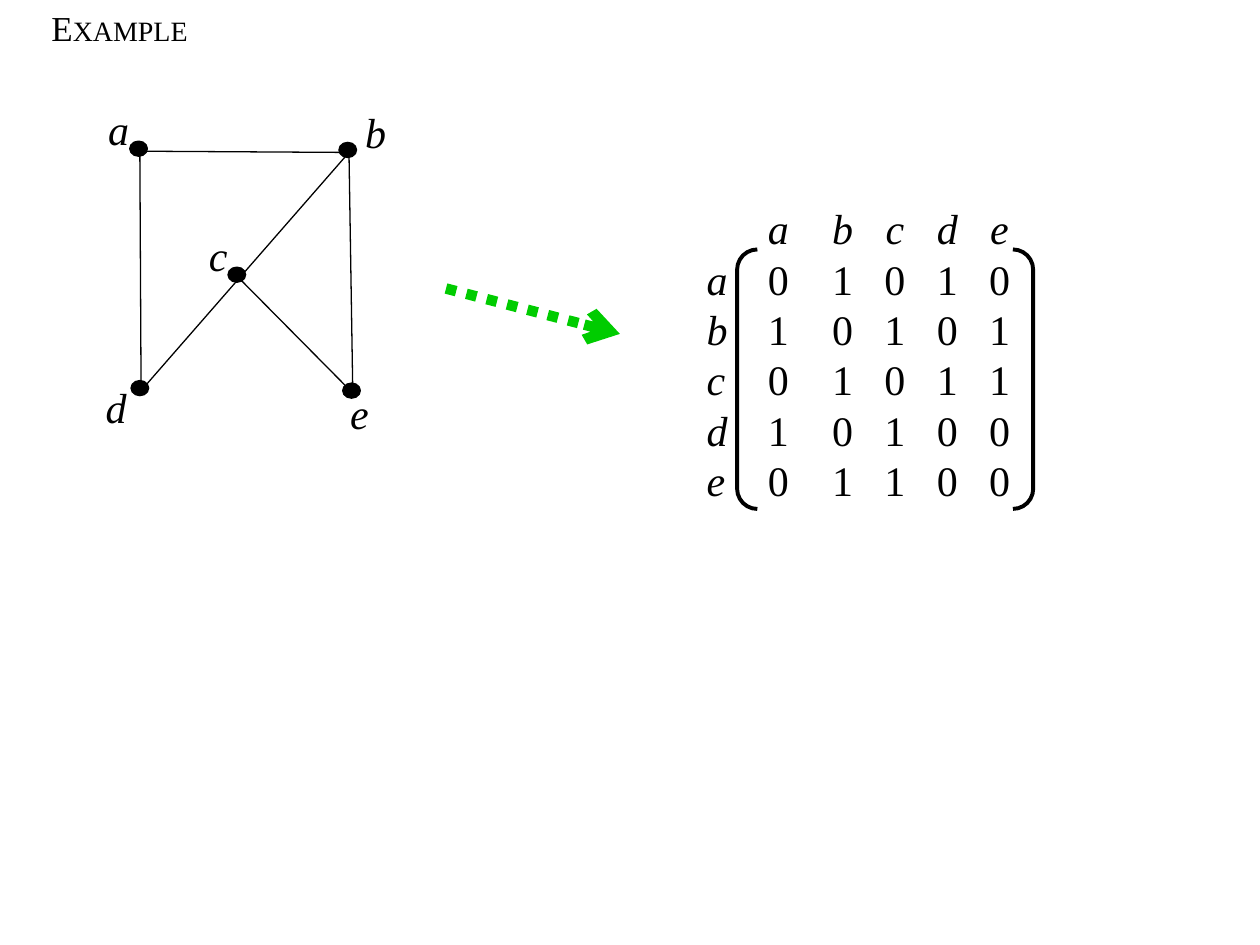
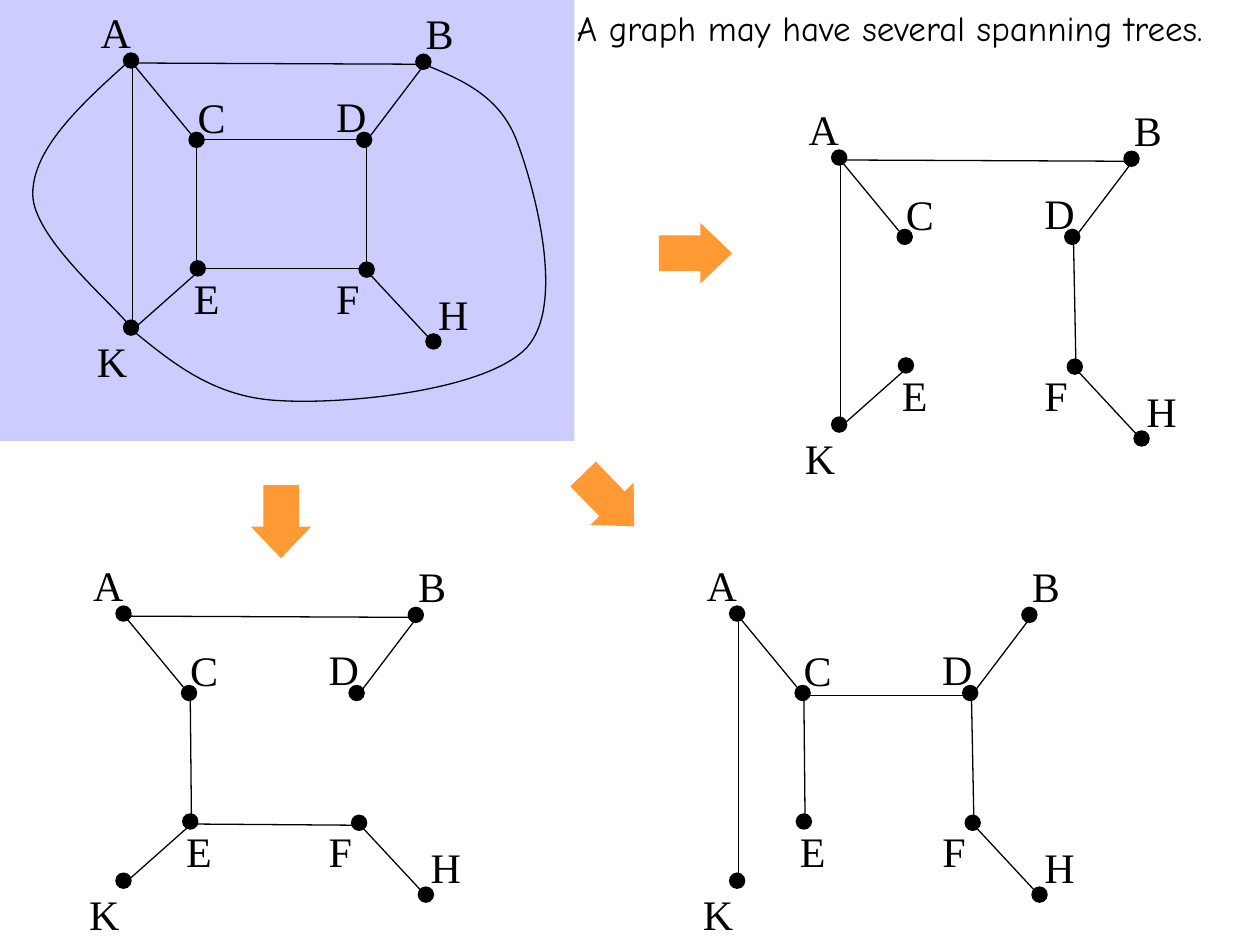
from collections import namedtuple
from dataclasses import dataclass

from lxml import etree
from pptx import Presentation
from pptx.dml.color import RGBColor
from pptx.enum import dml, shapes, text
from pptx.oxml import ns
from pptx.util import Inches, Pt


@dataclass(frozen=True)
class Theme:
    ink: RGBColor = RGBColor(0x00, 0x00, 0x00)
    panel: RGBColor = RGBColor(0xCC, 0xCC, 0xFF)
    orange: RGBColor = RGBColor(0xFF, 0x99, 0x33)
    green: RGBColor = RGBColor(0x00, 0xCC, 0x00)
    serif: str = "Times New Roman"
    comic: str = "Comic Neue"
    body: int = 24
    title: int = 20
    small_caps: int = 16
    thin: float = 0.75
    bracket: float = 2.25
    dotted: float = 6


THEME = Theme()
SHAPE = shapes.MSO_SHAPE
Node = namedtuple("Node", "dot label width")  # dot and label: left, top

# Simple graph and its adjacency matrix
SMALL_DOT = (0.14, 0.12)
SMALL_NODES = {
    "a": Node((1.03, 1.12), (0.76, 0.77), 0.37),
    "b": Node((2.69, 1.13), (2.8, 0.8), 0.37),
    "c": Node((1.81, 2.12), (1.56, 1.77), 0.35),
    "d": Node((1.04, 3.02), (0.74, 2.98), 0.37),
    "e": Node((2.72, 3.04), (2.68, 3.03), 0.35),
}
SMALL_EDGES = "ab ad bd be ce"
MATRIX = {"a": "01010", "b": "10101", "c": "01011", "d": "10100", "e": "01100"}
MATRIX_TABS = [0.57] + [1.08 + 0.415 * i for i in range(4)]

# Larger graph and its spanning trees
BIG_DOT = (0.12, 0.12)
BIG_NODES = {
    "A": Node((0.98, 0.42), (0.7, 0), 0.44),
    "B": Node((3.3, 0.43), (3.28, 0.01), 0.42),
    "C": Node((1.5, 1.05), (1.47, 0.68), 0.42),
    "D": Node((2.83, 1.05), (2.57, 0.67), 0.44),
    "E": Node((1.51, 2.07), (1.44, 2.11), 0.4),
    "F": Node((2.85, 2.08), (2.57, 2.11), 0.39),
    "H": Node((3.38, 2.65), (3.38, 2.24), 0.44),
    "K": Node((0.98, 2.54), (0.67, 2.61), 0.44),
}
BIG_EDGES = "AB AC AK BD EK FH"
SPANNING_TREES = [
    ((5.62, 0.77), "AB AC AK BD DF EK FH"),
    ((4.81, 4.39), "AC AK BD CD CE DF FH"),
    ((-0.06, 4.39), "AB AC BD CE EF EK FH"),
]
OUTER_CURVES = [
    [(1.03, 0.48), (0.64, 0.83), (0.26, 1.18), (0.26, 1.54),
     (0.26, 1.89), (0.91, 2.42), (1.04, 2.6)],
    [(1.05, 2.62), (1.38, 2.89), (1.71, 3.16), (2.23, 3.18),
     (2.75, 3.21), (3.86, 3.1), (4.18, 2.76), (4.49, 2.42),
     (4.25, 1.52), (4.11, 1.14), (3.98, 0.77), (3.68, 0.64), (3.39, 0.52)],
]
BLOCK_ARROWS = [(5.23, 1.77, 0), (4.54, 3.73, 45.7), (1.94, 3.9, 90)]


def inches(*values):
    return [Inches(v) for v in values]


def add_run(p, content, size=THEME.body, italic=False, font=THEME.serif):
    r = p.add_run()
    r.text = content
    r.font.size = Pt(size)
    r.font.name = font
    r.font.italic = italic
    r.font.color.rgb = THEME.ink


def add_box(slide, left, top, width, height, wrap=False):
    tf = slide.shapes.add_textbox(*inches(left, top, width, height)).text_frame
    tf.word_wrap = wrap
    tf.auto_size = text.MSO_AUTO_SIZE.SHAPE_TO_FIT_TEXT
    return tf


def style_shape(sp, fill=None, line=None, weight=THEME.thin):
    sp.shadow.inherit = False
    for part, color in ((sp.fill, fill), (sp.line.fill, line)):
        if color is None:
            part.background()
        else:
            part.solid()
            part.fore_color.rgb = color
    if line is not None:
        sp.line.width = Pt(weight)


def add_preset(slide, kind, left, top, width, height, **style):
    sp = slide.shapes.add_shape(kind, *inches(left, top, width, height))
    style_shape(sp, **style)
    return sp


def add_line(slide, start, end, color=THEME.ink, weight=THEME.thin):
    line = slide.shapes.add_connector(
        shapes.MSO_CONNECTOR.STRAIGHT, *inches(*start, *end))
    line.line.color.rgb = color
    line.line.width = Pt(weight)
    etree.SubElement(line._element.spPr, ns.qn("a:effectLst"))
    return line


def add_curve(slide, points):
    """Bezier outline: a start point, then three points for each segment."""
    start, *rest = [tuple(inches(*pt)) for pt in points]
    builder = slide.shapes.build_freeform(*start)
    builder.add_line_segments(rest, close=False)
    sp = builder.convert_to_shape()
    style_shape(sp, line=THEME.ink)
    outline = sp._element.find(".//" + ns.qn("a:path"))
    steps = outline.findall(ns.qn("a:lnTo"))
    for i in range(0, len(steps), 3):
        bezier = etree.SubElement(outline, ns.qn("a:cubicBezTo"))
        for step in steps[i:i + 3]:
            bezier.append(step[0])
            outline.remove(step)


def add_graph(slide, nodes, edges, dot, origin=(0, 0), italic=False):
    ox, oy = origin
    # Edges meet just below the centre of each dot
    ends = {name: (ox + n.dot[0] + dot[0] / 2 + 0.01,
                   oy + n.dot[1] + dot[1] / 2 + 0.02)
            for name, n in nodes.items()}
    for first, second in edges.split():
        add_line(slide, ends[first], ends[second])
    for name, n in nodes.items():
        add_preset(slide, SHAPE.OVAL, ox + n.dot[0], oy + n.dot[1], *dot,
                   fill=THEME.ink, line=THEME.ink)
        tf = add_box(slide, ox + n.label[0], oy + n.label[1], n.width, 0.5)
        add_run(tf.paragraphs[0], name, italic=italic)


def add_matrix(slide, left, top):
    tf = add_box(slide, left, top, 2.8, 2.5, wrap=True)
    rows = [("", MATRIX)] + list(MATRIX.items())
    for i, (name, cells) in enumerate(rows):
        p = tf.paragraphs[0] if i == 0 else tf.add_paragraph()
        tabs = etree.SubElement(p._p.get_or_add_pPr(), ns.qn("a:tabLst"))
        for pos in MATRIX_TABS:
            etree.SubElement(tabs, ns.qn("a:tab"), pos=str(Inches(pos)), algn="ctr")
        if name:
            add_run(p, name, italic=True)
        add_run(p, "".join("\t" + cell for cell in cells), italic=not name)


def build_matrix_slide(slide):
    # Heading in small capitals
    p = add_box(slide, 0.31, 0, 1.28, 0.43).paragraphs[0]
    add_run(p, "E", THEME.title)
    add_run(p, "XAMPLE", THEME.small_caps)

    add_graph(slide, SMALL_NODES, SMALL_EDGES, SMALL_DOT, italic=True)

    # Dotted arrow from graph to matrix
    arrow = add_line(slide, (3.54, 2.29), (4.92, 2.65), THEME.green, THEME.dotted)
    arrow.line.dash_style = dml.MSO_LINE.ROUND_DOT
    etree.SubElement(arrow.line._get_or_add_ln(), ns.qn("a:tailEnd"), type="arrow")

    # Adjacency matrix
    brackets = add_preset(slide, SHAPE.DOUBLE_BRACKET, 5.85, 1.98, 2.35, 2.06,
                          line=THEME.ink, weight=THEME.bracket)
    brackets.adjustments[0] = 0.078
    add_matrix(slide, 5.51, 1.56)


def build_trees_slide(slide):
    add_preset(slide, SHAPE.RECTANGLE, 0, 0, 4.56, 3.5, fill=THEME.panel)
    p = add_box(slide, 4.48, 0, 5.52, 0.43).paragraphs[0]
    add_run(p, "A graph may have several spanning trees.", THEME.title,
            font=THEME.comic)

    # Full graph: inner cycle C-D-F-E, outer curves, straight edges
    add_preset(slide, SHAPE.RECTANGLE, 1.56, 1.11, 1.35, 1.02, line=THEME.ink)
    for points in OUTER_CURVES:
        add_curve(slide, points)
    add_graph(slide, BIG_NODES, BIG_EDGES, BIG_DOT)

    # Spanning trees and the arrows to them
    for origin, edges in SPANNING_TREES:
        add_graph(slide, BIG_NODES, edges, BIG_DOT, origin)
    for left, top, angle in BLOCK_ARROWS:
        sp = add_preset(slide, SHAPE.RIGHT_ARROW, left, top, 0.58, 0.48,
                        fill=THEME.orange)
        sp.adjustments[0], sp.adjustments[1] = 0.587, 0.522
        sp.rotation = angle


def main():
    prs = Presentation()
    prs.slide_width, prs.slide_height = inches(10, 7.5)
    for build in (build_matrix_slide, build_trees_slide):
        build(prs.slides.add_slide(prs.slide_layouts[6]))
    prs.save("out.pptx")


if __name__ == "__main__":
    main()
